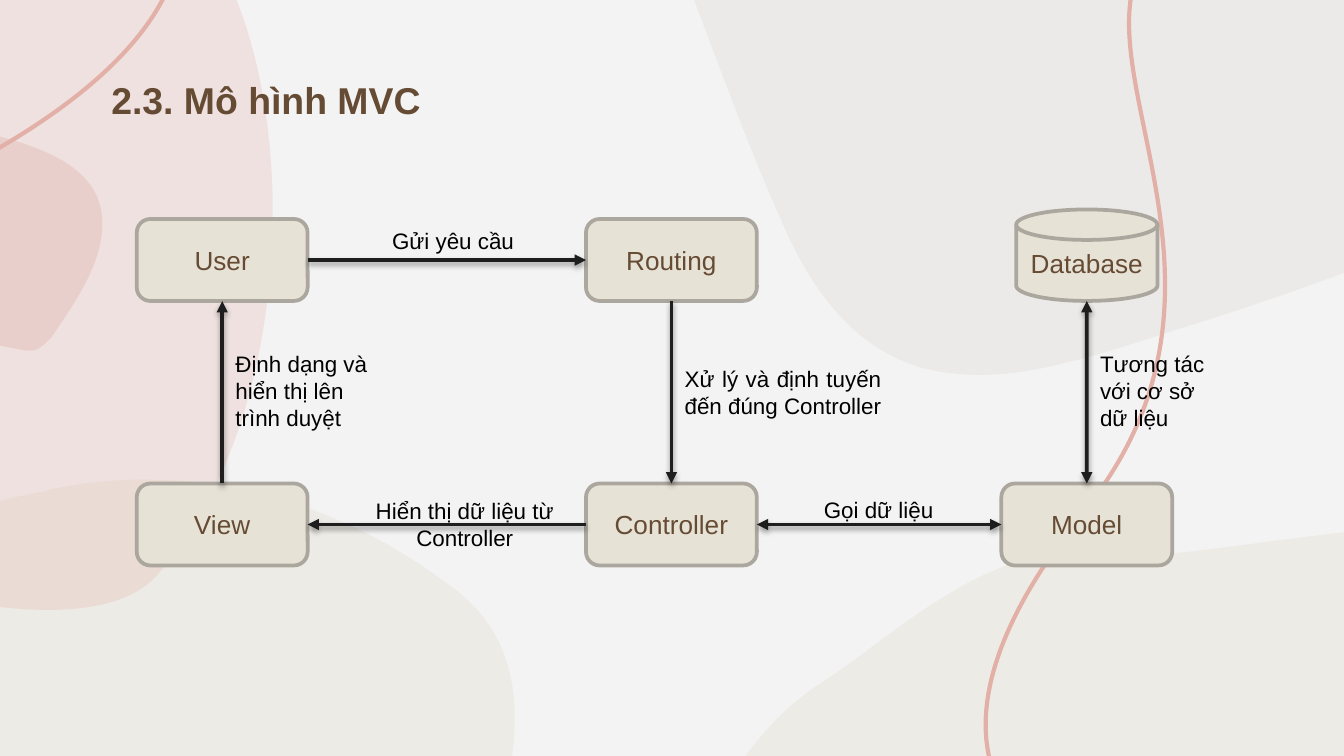
import pptx
import pptx.util
import pptx.dml.color
import pptx.enum.shapes
import pptx.enum.text
import pptx.oxml
import pptx.oxml.ns
from lxml import etree

Cm, Pt = pptx.util.Cm, pptx.util.Pt
SHAPE = pptx.enum.shapes.MSO_SHAPE
ALIGN = pptx.enum.text.PP_ALIGN
ANCHOR = pptx.enum.text.MSO_ANCHOR
qn = pptx.oxml.ns.qn

COLORS = {
    "paper": "F3F3F3", "sand": "E7E2D6", "rose": "E2B0A6", "stone": "887C62",
    "brown": "664B34", "border": "ABA79E", "arrow": "1E1E1E", "black": "000000",
}

TITLE = "2.3. Mô hình MVC"

BLOBS = [
    ("sand", 46, [(4.19, 25.25), (4.8, 22.94), (12.57, 14.17), (8.61, 11.15),
                  (4.67, 8.1), (0.79, 9.3), (0.79, 9.3),
                  (0.79, 9.3), (-3.07, 9.86), (-4.85, 12.57)]),
    ("rose", 26, [(-6.88, -3.45), (-3.2, -3.45), (4.42, -0.15), (4.47, 0),
                  (5.69, 3.07), (5.33, 8.23), (2.97, 10.87),
                  (2.57, 11.33), (1.83, 11.53), (0.91, 11.53),
                  (-3.38, 11.53), (-11.81, 7.32), (-12.78, 6.07)]),
    ("rose", None, [(-4.39, 11.91), (-2.79, 10.21), (-4.39, 5.41), (0.08, 2.74),
                    (4.57, 0.08), (4.22, -2.69), (0.94, -4.57)]),
    ("rose", 35, [(-4.9, 5.59), (-3.18, 5.92), (-1.42, 6.25), (0.33, 6.6),
                  (0.48, 6.63), (0.61, 6.65), (0.71, 6.6),
                  (0.81, 6.55), (0.89, 6.45), (0.97, 6.38),
                  (1.4, 5.74), (1.98, 4.95), (1.93, 4.14),
                  (1.88, 3), (0.38, 2.64), (-0.79, 2.41)]),
    ("stone", 7, [(30.73, -0.53), (31.42, 1.78), (30.61, 3.12), (28.42, 3.99),
                  (26.52, 4.75), (24.61, 5.49), (22.66, 6.1),
                  (21.84, 6.35), (21.01, 6.65), (20.14, 6.86),
                  (19.43, 7.04), (18.72, 7.14), (18.01, 7.06),
                  (16.38, 6.91), (15.42, 5.66), (14.81, 4.27),
                  (14.02, 2.51), (13.41, 0.71), (12.7, -1.07)]),
    ("sand", 46, [(13.39, 16.1), (13.18, 15.57), (14.15, 13.79), (15.49, 12.93),
                  (16.61, 12.22), (18.14, 10.74), (19.79, 10.49),
                  (20.12, 10.44), (20.42, 10.44), (20.75, 10.49),
                  (22.76, 10.85), (32.39, 7.95), (33.32, 12.14),
                  (34.26, 16.31), (31.95, 18.9), (31.95, 18.9)]),
    ("rose", None, [(21.51, -0.53), (20.6, 1.63), (23.77, 5.59), (20.5, 9.65),
                    (17.22, 13.72), (18.54, 16.18), (22.23, 16.79)]),
]

COLUMNS = [4.2, 12.69, 20.54]
ROW_BOTTOMS = [5.69, 10.69]
BOX, DISK = (3.23, 1.55), (2.67, 1.73)
NODES = [
    ("Controller", 1, 1, BOX), ("Model", 2, 1, BOX), ("View", 0, 1, BOX),
    ("Database", 2, 0, DISK), ("User", 0, 0, BOX), ("Routing", 1, 0, BOX),
]

TOP, LEFT, BOTTOM, RIGHT = range(4)
ARROWS = [
    ("User", RIGHT, "Routing", LEFT, False),
    ("Controller", LEFT, "View", RIGHT, False),
    ("Routing", BOTTOM, "Controller", TOP, False),
    ("View", TOP, "User", BOTTOM, False),
    ("Controller", RIGHT, "Model", LEFT, True),
    ("Model", TOP, "Database", BOTTOM, True),
]

LABELS = [
    ("Tương tác với cơ sở dữ liệu", 20.54, 6.5, 2.62, 1.8, ALIGN.LEFT),
    ("Xử lý và định tuyến đến đúng Controller", 12.69, 6.78, 4.22, 1.27, ALIGN.JUSTIFY),
    ("Hiển thị dữ liệu từ Controller", 6.83, 9.27, 3.91, 1.27, ALIGN.CENTER),
    ("Định dạng và hiển thị lên\ntrình duyệt", 4.2, 6.5, 3.23, 1.8, ALIGN.LEFT),
    ("Gọi dữ liệu", 15.32, 9.25, 2.64, 0.76, ALIGN.JUSTIFY),
    ("Gửi yêu cầu", 7.16, 4.17, 2.95, 0.76, ALIGN.JUSTIFY),
]


def rgb(name):
    return pptx.dml.color.RGBColor.from_string(COLORS[name])


def write(sp, text, size=12, color="black", bold=False, align=ALIGN.LEFT, anchor=ANCHOR.TOP):
    tf = sp.text_frame
    tf.word_wrap = True
    tf.auto_size = pptx.enum.text.MSO_AUTO_SIZE.NONE
    tf.vertical_anchor = anchor
    for i, line in enumerate(text.split("\n")):
        p = tf.add_paragraph() if i else tf.paragraphs[0]
        p.alignment = align
        r = p.add_run()
        r.text = line
        r.font.name, r.font.size, r.font.bold = "Arial", Pt(size), bold
        r.font.color.rgb = rgb(color)


def set_line(sp, color, width):
    sp.line.color.rgb = rgb(color)
    sp.line.width = Pt(width)


def add_blob(s, color, opacity, points):
    points = [(Cm(x), Cm(y)) for x, y in points]
    builder = s.shapes.build_freeform(*points[0])
    builder.add_line_segments(points[1:], close=opacity is not None)
    sp = builder.convert_to_shape()
    sp.shadow.inherit = False
    segments = list(sp.element.iter(qn("a:lnTo")))
    for i in range(0, len(segments), 3):
        curve = pptx.oxml.parse_xml(f'<a:cubicBezTo {pptx.oxml.ns.nsdecls("a")}/>')
        segments[i].addprevious(curve)
        for segment in segments[i:i + 3]:
            curve.append(segment[0])
            segment.getparent().remove(segment)
    if opacity is None:
        sp.fill.background()
        set_line(sp, color, 2.25)
    else:
        sp.fill.solid()
        sp.fill.fore_color.rgb = rgb(color)
        sp.line.fill.background()
        fill = sp.element.spPr.find(qn("a:solidFill"))[0]
        etree.SubElement(fill, qn("a:alpha"), val=str(opacity * 1000))


def add_node(s, text, column, row, size):
    w, h = size
    kind = SHAPE.FLOWCHART_MAGNETIC_DISK if size == DISK else SHAPE.ROUNDED_RECTANGLE
    sp = s.shapes.add_shape(kind, Cm(COLUMNS[column] - w / 2), Cm(ROW_BOTTOMS[row] - h), Cm(w), Cm(h))
    sp.shadow.inherit = False
    sp.fill.solid()
    sp.fill.fore_color.rgb = rgb("sand")
    set_line(sp, "border", 2)
    write(sp, text, size=14, color="brown", align=ALIGN.CENTER, anchor=ANCHOR.MIDDLE)
    return sp


def side_point(sp, side):
    dx, dy = [(0.5, 0), (0, 0.5), (0.5, 1), (1, 0.5)][side]
    return int(sp.left + sp.width * dx), int(sp.top + sp.height * dy)


def add_arrow(s, start, start_side, end, end_side, both):
    c = s.shapes.add_connector(pptx.enum.shapes.MSO_CONNECTOR.STRAIGHT,
                               *side_point(start, start_side), *side_point(end, end_side))
    c.begin_connect(start, start_side)
    if end.auto_shape_type == SHAPE.ROUNDED_RECTANGLE:
        c.end_connect(end, end_side)
    set_line(c, "arrow", 2)
    ln = c.element.spPr.find(qn("a:ln"))
    for tag in ["a:headEnd", "a:tailEnd"] if both else ["a:tailEnd"]:
        etree.SubElement(ln, qn(tag), type="triangle")
    effects = etree.SubElement(c.element.spPr, qn("a:effectLst"))
    shadow = etree.SubElement(effects, qn("a:outerShdw"), blurRad=str(Pt(3.1)), dist=str(Pt(1.6)),
                              dir="5400000", rotWithShape="0")
    tint = etree.SubElement(shadow, qn("a:srgbClr"), val=COLORS["black"])
    etree.SubElement(tint, qn("a:alpha"), val="38000")


def main():
    prs = pptx.Presentation()
    prs.slide_width, prs.slide_height = Cm(25.4), Cm(14.29)
    s = prs.slides.add_slide(prs.slide_layouts[5])
    s.background.fill.solid()
    s.background.fill.fore_color.rgb = rgb("paper")

    for blob in BLOBS:
        add_blob(s, *blob)

    title = s.shapes.title
    title.element.getparent().append(title.element)
    title.left, title.top, title.width, title.height = Cm(1.85), Cm(1.32), Cm(6.48), Cm(1.12)
    write(title, TITLE, size=20, color="brown", bold=True, anchor=ANCHOR.MIDDLE)

    nodes = {node[0]: add_node(s, *node) for node in NODES}
    for start, start_side, end, end_side, both in ARROWS:
        add_arrow(s, nodes[start], start_side, nodes[end], end_side, both)
    for text, x, y, w, h, align in LABELS:
        write(s.shapes.add_textbox(Cm(x), Cm(y), Cm(w), Cm(h)), text, align=align)

    prs.save("out.pptx")


if __name__ == "__main__":
    main()
